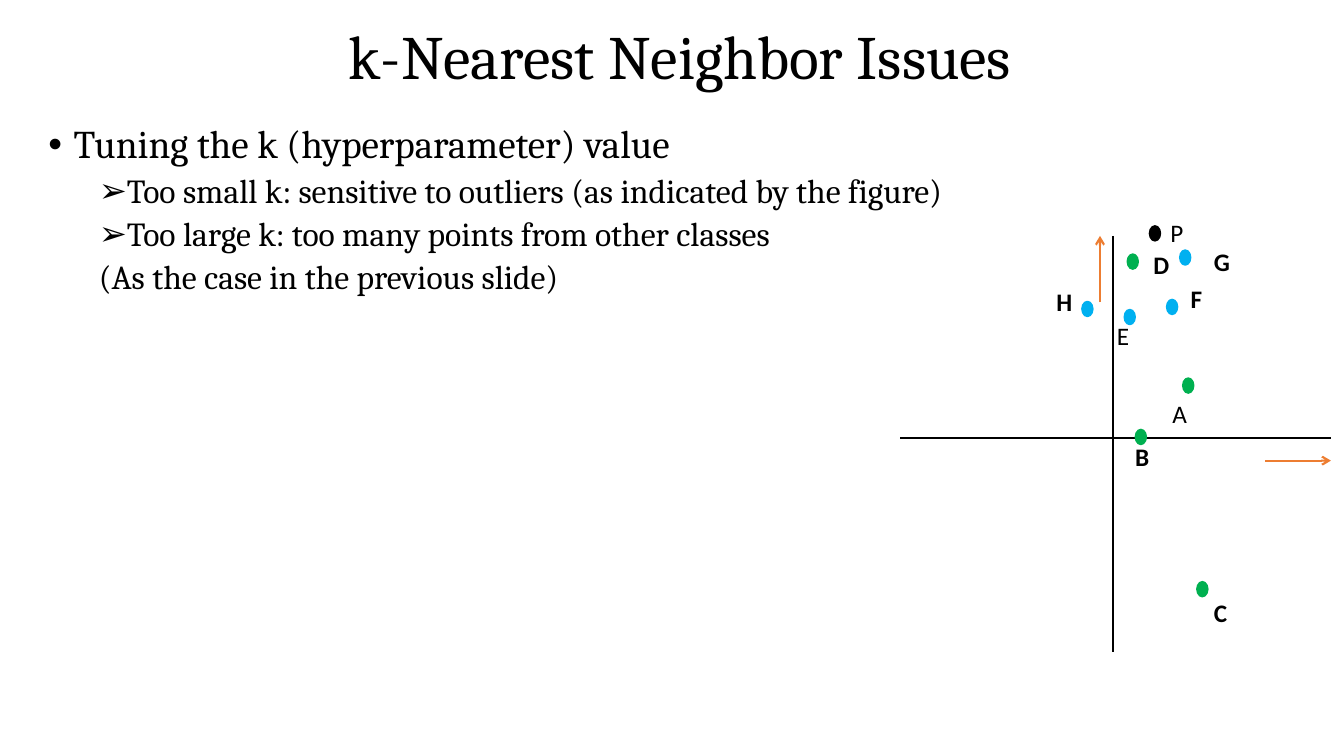
"""Build the k-Nearest Neighbor issues slide with its scatter sketch."""
from dataclasses import dataclass

from lxml.etree import SubElement
from pptx import Presentation
from pptx.dml.color import RGBColor
from pptx.enum.shapes import MSO_CONNECTOR, MSO_SHAPE
from pptx.enum.text import MSO_ANCHOR, MSO_AUTO_SIZE, PP_ALIGN
from pptx.oxml.ns import qn
from pptx.util import Inches, Pt


@dataclass(frozen=True)
class Theme:
    black: str = "000000"
    green: str = "00B050"
    blue: str = "00B0F0"
    orange: str = "ED7D31"
    serif: str = "Cambria"
    sans: str = "Calibri"
    title: int = 44
    bullet: int = 28
    sub: int = 24
    label: int = 18


T = Theme()
TITLE = "k-Nearest Neighbor Issues"
BULLETS = [
    # text, level, bullet, margin, indent, size, space before
    ("Tuning the k (hyperparameter) value", 0, "•", 0.25, -0.25, T.bullet, 0),
    ("Too small k: sensitive to outliers (as indicated by the figure)", 1, "➢", 0.75, -0.25, T.sub, 5),
    ("Too large k: too many points from other classes", 1, "➢", 0.75, -0.25, T.sub, 5),
    ("(As the case in the previous slide)", 1, None, 0.5, 0, T.sub, 5),
]
LINES = [
    ((11.04, 2.34), (11.04, 6.47), T.black, False),
    ((8.93, 4.35), (13.2, 4.35), T.black, False),
    ((12.55, 4.57), (13.2, 4.57), T.orange, True),
    ((10.91, 3), (10.91, 2.34), T.orange, True),
]
POINTS = [
    ("A", T.green, (11.73, 3.75), (11.53, 3.9), False),
    ("B", T.green, (11.26, 4.26), (11.16, 4.33), True),
    ("C", T.green, (11.87, 5.77), (11.94, 5.88), True),
    ("D", T.green, (11.18, 2.52), (11.34, 2.42), True),
    ("E", T.blue, (11.15, 3.07), (10.98, 3.13), False),
    ("F", T.blue, (11.57, 2.97), (11.71, 2.76), True),
    ("G", T.blue, (11.7, 2.48), (11.94, 2.39), True),
    ("H", T.blue, (10.73, 2.99), (10.38, 2.79), True),
    ("P", T.black, (11.4, 2.24), (11.51, 2.11), False),
]
DOT = (0.11, 0.15)
LABEL = (0.37, 0.4)


def rgb(color):
    return RGBColor.from_string(color)


def box(pos, size):
    return [Inches(v) for v in (*pos, *size)]


def style(p, font, size, bold=False):
    for r in p.runs:
        r.font.name, r.font.size, r.font.bold = font, Pt(size), bold
        r.font.color.rgb = rgb(T.black)


def place(sp, pos, size, anchor):
    sp.left, sp.top, sp.width, sp.height = box(pos, size)
    tf = sp.text_frame
    tf.word_wrap = True
    tf.auto_size = MSO_AUTO_SIZE.NONE
    tf.vertical_anchor = anchor
    return tf


def add_title(s):
    tf = place(s.shapes.title, (0.4, 0.15), (12.69, 0.88), MSO_ANCHOR.MIDDLE)
    tf.text = TITLE
    p = tf.paragraphs[0]
    p.alignment, p.line_spacing = PP_ALIGN.CENTER, 0.9
    style(p, T.serif, T.title)


def add_bullets(s):
    tf = place(s.placeholders[1], (0.38, 1.19), (12.74, 5.92), MSO_ANCHOR.TOP)
    tf.text = "\n".join(row[0] for row in BULLETS)
    for p, (_, level, char, margin, indent, size, before) in zip(tf.paragraphs, BULLETS):
        p.level, p.line_spacing, p.space_before = level, 0.9, Pt(before)
        pPr = p._p.get_or_add_pPr()
        pPr.set("marL", str(Inches(margin)))
        pPr.set("indent", str(Inches(indent)))
        if char:
            SubElement(pPr, qn("a:buFont"), typeface="Arial")
            SubElement(pPr, qn("a:buChar"), char=char)
        else:
            SubElement(pPr, qn("a:buNone"))
        style(p, T.serif, size)


def add_line(s, start, end, color, arrow):
    ends = [Inches(v) for v in (*start, *end)]
    cx = s.shapes.add_connector(MSO_CONNECTOR.STRAIGHT, *ends)
    cx.line.color.rgb, cx.line.width = rgb(color), Pt(1.5)
    if arrow:
        SubElement(cx.line._get_or_add_ln(), qn("a:tailEnd"), type="arrow")
    SubElement(cx._element.spPr, qn("a:effectLst"))


def add_point(s, name, color, dot_pos, label_pos, bold):
    dot = s.shapes.add_shape(MSO_SHAPE.OVAL, *box(dot_pos, DOT))
    dot.shadow.inherit = False
    dot.fill.solid()
    dot.fill.fore_color.rgb = dot.line.color.rgb = rgb(color)
    dot.line.width = Pt(1)
    tf = s.shapes.add_textbox(*box(label_pos, LABEL)).text_frame
    tf.word_wrap = True
    tf.text = name
    style(tf.paragraphs[0], T.sans, T.label, bold)


def main():
    prs = Presentation()
    prs.slide_width, prs.slide_height = Inches(13.33), Inches(7.5)
    s = prs.slides.add_slide(prs.slide_layouts[1])
    add_title(s)
    add_bullets(s)
    for line in LINES:
        add_line(s, *line)
    for point in POINTS:
        add_point(s, *point)
    prs.save("out.pptx")


if __name__ == "__main__":
    main()
